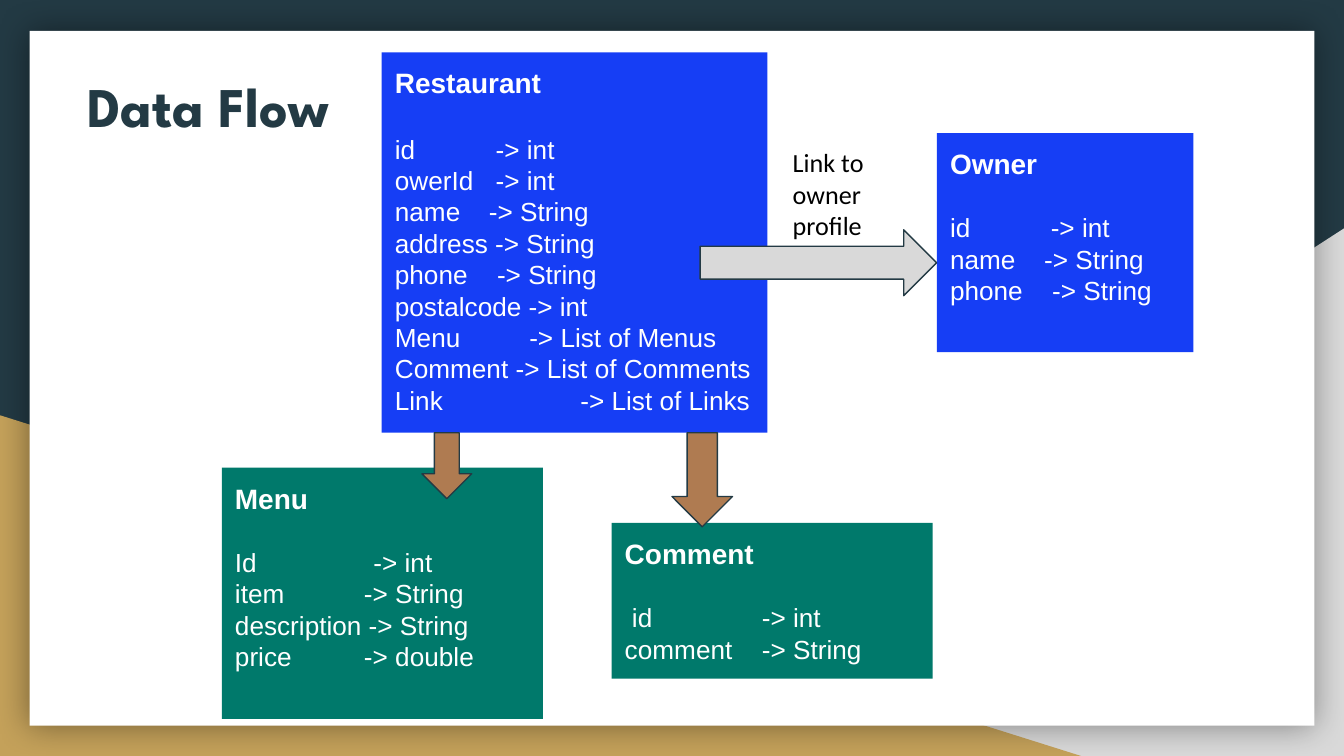
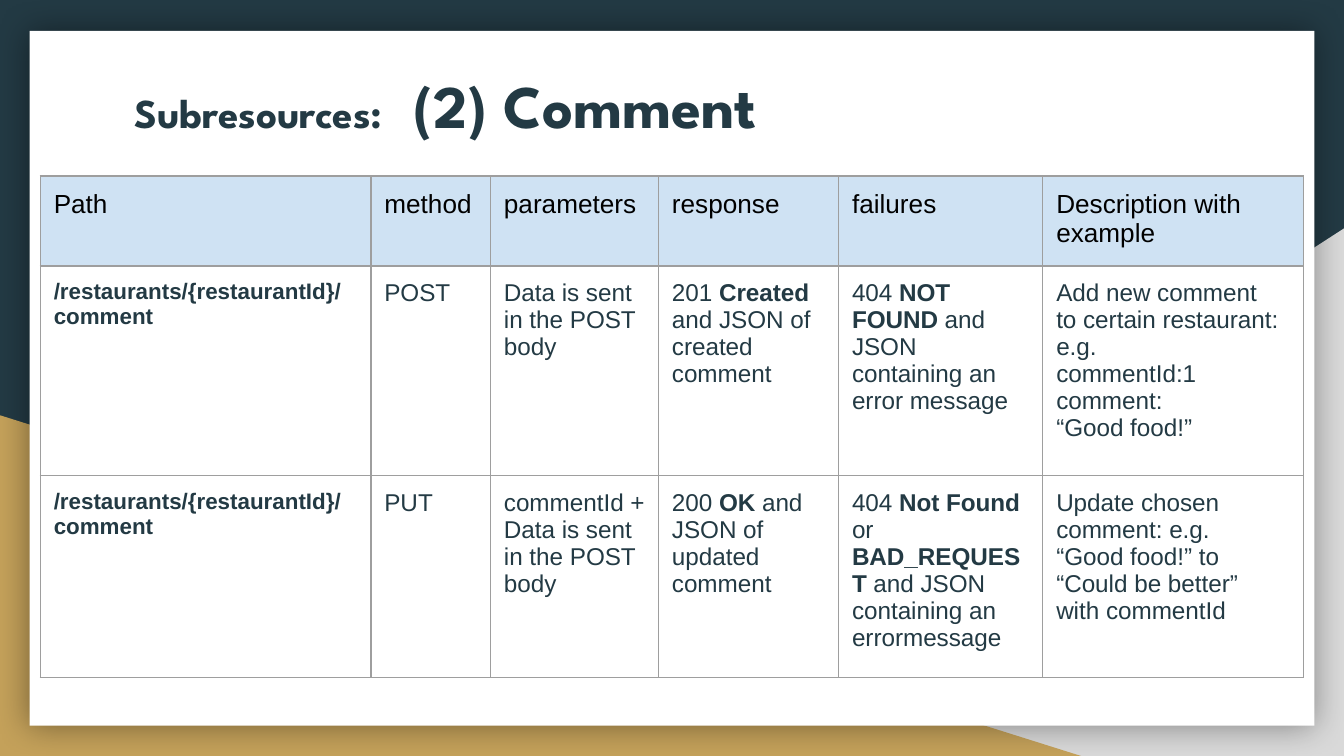
from lxml import etree
from pptx import Presentation
from pptx.dml.color import RGBColor
from pptx.enum.shapes import MSO_SHAPE as Shape
from pptx.enum.text import MSO_ANCHOR as Anchor, PP_ALIGN as Align
from pptx.oxml import parse_xml
from pptx.oxml.ns import nsdecls, qn
from pptx.util import Inches, Pt

COLORS = {
    "navy": "233A44", "sand": "C4A15A", "silver": "D9D9D9", "white": "FFFFFF",
    "black": "000000", "blue": "163EF5", "green": "00796B", "brown": "AF7B51",
    "header": "CFE2F3", "grid": "9E9E9E",
}
FORMATS = {
    "title": {"name": "League Spartan", "size": Pt(30), "bold": True, "color": "navy"},
    "entity": {"name": "Arial", "size": Pt(15), "bold": True, "color": "white"},
    "field": {"name": "Arial", "size": Pt(14), "bold": False, "color": "white"},
    "label": {"name": "Calibri", "size": Pt(14), "bold": False, "color": "black"},
    "header": {"name": "Arial", "size": Pt(14), "bold": False, "color": "black"},
    "route": {"name": "Arial", "size": Pt(12), "bold": True, "color": "navy"},
    "body": {"name": "Arial", "size": Pt(13), "bold": False, "color": "navy"},
}
FRAME = {
    "margin_left": Inches(0.1), "margin_right": Inches(0.1),
    "margin_top": Inches(0.1), "margin_bottom": Inches(0.1),
    "vertical_anchor": Anchor.TOP, "word_wrap": True,
}

# Each field: name, type, tab position of the arrow (None for a plain space)
ENTITIES = [
    ("Restaurant", "blue", (2.84, 0.39, 2.87, 2.83), 18, [
        ("id", "int", 0.75), ("owerId", "int", 0.75), ("name", "String", 0.7),
        ("address", "String", None), ("phone", "String", 0.76),
        ("postalcode", "int", None), ("Menu", "List of Menus", 1),
        ("Comment", "List of Comments", None), ("Link", "List of Links", 1.38)]),
    ("Menu", "green", (1.65, 3.48, 2.39, 1.87), 17, [
        ("Id", "int", 1.03), ("item", "String", 0.96),
        ("description", "String", None), ("price", "double", 0.96)]),
    ("Comment", "green", (4.55, 3.89, 2.39, 1.16), 17, [
        (" id", "int", 1.02), ("comment", "String", 1.02)]),
    ("Owner", "blue", (6.97, 0.99, 1.91, 1.63), 17, [
        ("id", "int", 0.75), ("name", "String", 0.7), ("phone", "String", 0.76)]),
]
ARROWS = [
    (Shape.DOWN_ARROW, "brown", (3.14, 3.22, 0.37, 0.49)),
    (Shape.DOWN_ARROW, "brown", (5, 3.22, 0.45, 0.7)),
    (Shape.RIGHT_ARROW, "silver", (5.21, 1.71, 1.76, 0.49)),
]

ROUTE = "/restaurants/{restaurantId}/\ncomment"
COLUMN_WIDTHS = [2.46, 0.89, 1.25, 1.34, 1.52, 1.94]
ROW_HEIGHTS = [0.67, 1.56, 1.5]
# Text between ** marks is bold
ENDPOINTS = [
    ["Path", "method", "parameters", "response", "failures",
     "Description with example"],
    [ROUTE, "POST", "Data is sent in the POST body",
     "201 **Created** and JSON of created comment",
     "404 **NOT FOUND **and JSON containing an error message",
     "Add new comment\nto certain restaurant: e.g.\ncommentId:1\ncomment:\n“Good food!”"],
    [ROUTE, "PUT", "commentId +\nData is sent in the POST body",
     "200 **OK** and JSON of updated comment",
     "404 **Not Found **or** BAD_REQUEST **and JSON\ncontaining an errormessage",
     "Update chosen\ncomment: e.g.\n“Good food!” to\n“Could be better”\nwith commentId"],
]


def rgb(color):
    return RGBColor.from_string(COLORS[color])


def inches(box):
    return [Inches(length) for length in box]


def add_run(paragraph, text, style, **changes):
    run = paragraph.add_run()
    run.text = text
    for name, value in {**FORMATS[style], **changes}.items():
        if name == "color":
            run.font.color.rgb = rgb(value)
        else:
            setattr(run.font, name, value)


def add_tab_stop(paragraph, position):
    """Call after the paragraph's spacing is set, as the schema orders them."""
    properties = paragraph._p.get_or_add_pPr()
    tabs = etree.SubElement(properties, qn("a:tabLst"))
    etree.SubElement(tabs, qn("a:tab"), pos=str(Inches(position)), algn="l")


def set_frame(frame):
    for name, value in FRAME.items():
        setattr(frame, name, value)
    return frame


def set_borders(cell):
    properties = cell._tc.get_or_add_tcPr()
    for index, side in enumerate("LRTB"):
        properties.insert(index, parse_xml(
            f'<a:ln{side} {nsdecls("a")} w="{Pt(0.75)}"><a:solidFill>'
            f'<a:srgbClr val="{COLORS["grid"]}"/></a:solidFill></a:ln{side}>'))


class Deck:
    def __init__(self):
        self.presentation = Presentation()
        self.presentation.slide_width = Inches(10)
        self.presentation.slide_height = Inches(10) * 9 // 16
        background = self.presentation.slide_master.background.fill
        background.solid()
        background.fore_color.rgb = rgb("navy")
        self.slide = None

    def add_slide(self):
        """Start a slide with the two corner triangles and the white sheet."""
        self.slide = self.presentation.slides.add_slide(
            self.presentation.slide_layouts[6])
        right = self.add_shape(Shape.RIGHT_TRIANGLE, "silver", (3.92, 1.7, 6.08, 3.93))
        right._element.spPr.xfrm.set("flipH", "1")
        self.add_shape(Shape.RIGHT_TRIANGLE, "sand", (0, 3.09, 8.06, 2.54))
        sheet = self.add_shape(Shape.RECTANGLE, "white", (0.22, 0.23, 9.56, 5.17))
        effects = sheet._element.spPr.find(qn("a:effectLst"))
        effects.append(parse_xml(
            f'<a:outerShdw {nsdecls("a")} blurRad="{Pt(18)}" dist="0" '
            f'algn="ctr" rotWithShape="0"><a:srgbClr val="{COLORS["black"]}">'
            '<a:alpha val="40000"/></a:srgbClr></a:outerShdw>'))

    def add_shape(self, kind, fill, box, line=None):
        shape = self.slide.shapes.add_shape(kind, *inches(box))
        shape.shadow.inherit = False
        shape.fill.solid()
        shape.fill.fore_color.rgb = rgb(fill)
        if line:
            shape.line.color.rgb = rgb(line)
            shape.line.width = Pt(0.75)
        else:
            shape.line.fill.background()
        return shape

    def add_text(self, box, text, style, **changes):
        text_box = self.slide.shapes.add_textbox(*inches(box))
        paragraph = set_frame(text_box.text_frame).paragraphs[0]
        add_run(paragraph, text, style, **changes)
        return paragraph

    def add_entity(self, name, fill, box, gap, fields):
        shape = self.add_shape(Shape.RECTANGLE, fill, box)
        frame = set_frame(shape.text_frame)
        heading = frame.paragraphs[0]
        heading.alignment = Align.LEFT
        heading.space_after = Pt(gap)
        add_run(heading, name, "entity")
        for field, kind, tab in fields:
            paragraph = frame.add_paragraph()
            paragraph.alignment = Align.LEFT
            if tab:
                add_tab_stop(paragraph, tab)
            gap_text = "\t" if tab else " "
            add_run(paragraph, f"{field}{gap_text}-> {kind}", "field")

    def add_table(self, left, top, widths, heights, rows):
        box = (left, top, sum(widths), sum(heights))
        table = self.slide.shapes.add_table(
            len(rows), len(widths), *inches(box)).table
        table.first_row = table.horz_banding = False
        for column, width in zip(table.columns, widths):
            column.width = Inches(width)
        for row, height in zip(table.rows, heights):
            row.height = Inches(height)
        for row_index, row in enumerate(rows):
            for column_index, text in enumerate(row):
                if row_index == 0:
                    style = "header"
                else:
                    style = "body" if column_index else "route"
                self.fill_cell(table.cell(row_index, column_index), text, style)

    def fill_cell(self, cell, text, style):
        for name, value in FRAME.items():
            if name != "word_wrap":
                setattr(cell, name, value)
        if style == "header":
            cell.fill.solid()
            cell.fill.fore_color.rgb = rgb("header")
        else:
            cell.fill.background()
        set_borders(cell)
        frame = cell.text_frame
        for index, line in enumerate(text.split("\n")):
            paragraph = frame.add_paragraph() if index else frame.paragraphs[0]
            for part, words in enumerate(line.split("**")):
                bold = part % 2 == 1 or FORMATS[style]["bold"]
                add_run(paragraph, words, style, bold=bold)


def build_data_flow(deck):
    deck.add_slide()
    deck.add_text((0.55, 0.43, 8.21, 1.04), "Data Flow", "title")
    for entity in ENTITIES:
        deck.add_entity(*entity)
    for kind, fill, box in ARROWS:
        deck.add_shape(kind, fill, box, line="navy")
    deck.add_text((5.8, 0.99, 0.94, 0.91), "Link to owner profile", "label")


def build_comment_endpoints(deck):
    deck.add_slide()
    title = deck.add_text((0.9, 0.41, 8.21, 1.04), "Subresources:", "title", size=Pt(22))
    add_run(title, "\t(2) Comment", "title", size=Pt(32.4))
    add_tab_stop(title, 2.08)
    deck.add_table(0.3, 1.31, COLUMN_WIDTHS, ROW_HEIGHTS, ENDPOINTS)


def main():
    deck = Deck()
    build_data_flow(deck)
    build_comment_endpoints(deck)
    deck.presentation.save("out.pptx")


if __name__ == "__main__":
    main()
